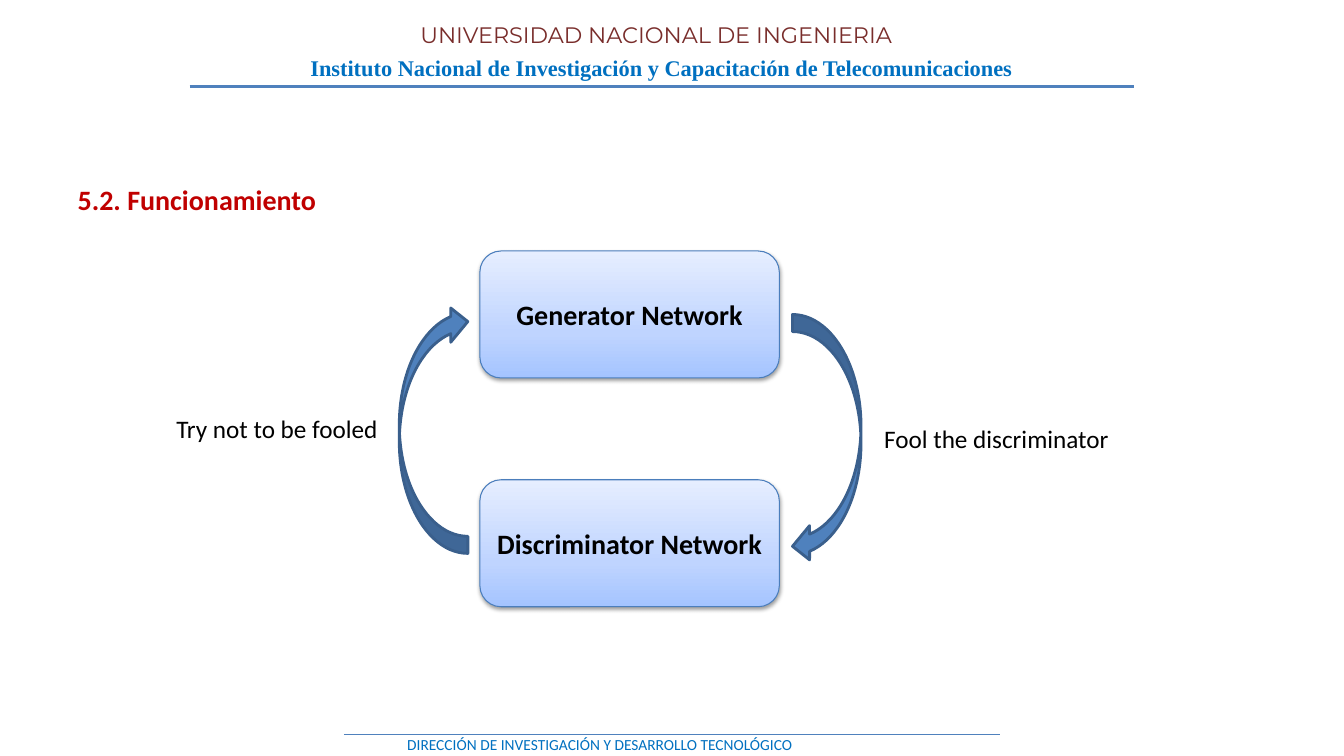
"""Builds the slide that explains how a generative adversarial network works."""
from lxml import etree
from pptx import Presentation
from pptx.dml.color import RGBColor
from pptx.enum.shapes import MSO_CONNECTOR, MSO_SHAPE
from pptx.enum.text import MSO_ANCHOR, MSO_AUTO_SIZE, PP_ALIGN
from pptx.oxml.ns import qn
from pptx.util import Inches, Pt

STRAIGHT = MSO_CONNECTOR.STRAIGHT
ROUNDED = MSO_SHAPE.ROUNDED_RECTANGLE
CURVED_ARROW = MSO_SHAPE.CURVED_LEFT_ARROW
TOP, MIDDLE = MSO_ANCHOR.TOP, MSO_ANCHOR.MIDDLE
LEFT, CENTER = PP_ALIGN.LEFT, PP_ALIGN.CENTER
FIT_SHAPE = MSO_AUTO_SIZE.SHAPE_TO_FIT_TEXT

COLORS = {
    "institute": "0070C0",
    "university": "792D2B",
    "heading": "C00000",
    "text": "000000",
    "accent": "4F81BD",
    "arrow_line": "3A5F8C",
    "network_line": "4B7EBC",
    "shadow": "000000",
}
NETWORK_GRADIENT = [(0, "A4C4FF"), (35, "BFD4FF"), (100, "E6EEFF")]
NETWORK_LEFT, NETWORK_WIDTH, NETWORK_HEIGHT = 4.76, 2.97, 1.26
ARROW_WIDTH, ARROW_HEIGHT = 0.68, 2.47


def color(name):
    """Return the named colour."""
    return RGBColor.from_string(COLORS[name])


def write(frame, text, size, color_name, font="Calibri", bold=False, align=LEFT):
    """Write one formatted run into the first paragraph of a text frame."""
    para = frame.paragraphs[0]
    para.alignment = align
    span = para.add_run()
    span.text = text
    span.font.name = font
    span.font.size = Pt(size)
    span.font.bold = bold
    span.font.color.rgb = color(color_name)


def place(shape, left, top, width, height):
    """Move and size a shape, in inches."""
    shape.left, shape.top = Inches(left), Inches(top)
    shape.width, shape.height = Inches(width), Inches(height)


def add_heading(page, text, left, top, width, height):
    """Put the section heading in the title placeholder."""
    title = page.shapes.title
    place(title, left, top, width, height)
    frame = title.text_frame
    frame.word_wrap = False
    frame.auto_size = FIT_SHAPE
    frame.vertical_anchor = TOP
    write(frame, text, 20, "heading", bold=True)


def add_label(page, area, text, size, color_name, wrap=False, **style):
    """Add a text box."""
    box = page.shapes.add_textbox(*(Inches(value) for value in area))
    box.text_frame.word_wrap = wrap
    box.text_frame.auto_size = FIT_SHAPE
    write(box.text_frame, text, size, color_name, **style)


def add_rule(page, left, right, top, weight):
    """Add a horizontal line without shadow."""
    rule = page.shapes.add_connector(
        STRAIGHT, Inches(left), Inches(top), Inches(right), Inches(top))
    rule.line.color.rgb = color("accent")
    rule.line.width = Pt(weight)
    etree.SubElement(rule._element.spPr, qn("a:effectLst"))


def add_color_xml(parent, hex_color):
    """Append an RGB colour element and return it."""
    return etree.SubElement(parent, qn("a:srgbClr"), val=hex_color)


def fill_gradient(shape):
    """Fill a shape with the vertical network gradient."""
    shape.fill.gradient()
    shape.fill.gradient_angle = 90
    stops = shape._element.spPr.find(qn("a:gradFill")).find(qn("a:gsLst"))
    for stop in list(stops):
        stops.remove(stop)
    for percent, hex_color in NETWORK_GRADIENT:
        stop = etree.SubElement(stops, qn("a:gs"), pos=str(percent * 1000))
        add_color_xml(stop, hex_color)


def add_soft_shadow(shape):
    """Give a shape a soft shadow that falls downwards."""
    shape.shadow.inherit = False
    effects = shape._element.spPr.find(qn("a:effectLst"))
    shadow = etree.SubElement(
        effects, qn("a:outerShdw"), blurRad=str(Pt(3.1)), dist=str(Pt(1.6)),
        dir="5400000", rotWithShape="0")
    shade = add_color_xml(shadow, COLORS["shadow"])
    etree.SubElement(shade, qn("a:alpha"), val="38000")


def add_network(page, text, top):
    """Add one network box."""
    network = page.shapes.add_shape(
        ROUNDED, Inches(NETWORK_LEFT), Inches(top),
        Inches(NETWORK_WIDTH), Inches(NETWORK_HEIGHT))
    fill_gradient(network)
    network.line.color.rgb = color("network_line")
    network.line.width = Pt(0.75)
    add_soft_shadow(network)
    network.text_frame.word_wrap = True
    network.text_frame.vertical_anchor = MIDDLE
    write(network.text_frame, text, 20, "text", bold=True, align=CENTER)


def add_curved_arrow(page, left, top, rotation=0):
    """Add a curved arrow between the two networks."""
    arrow = page.shapes.add_shape(
        CURVED_ARROW, Inches(left), Inches(top),
        Inches(ARROW_WIDTH), Inches(ARROW_HEIGHT))
    arrow.rotation = rotation
    arrow.fill.solid()
    arrow.fill.fore_color.rgb = color("accent")
    arrow.line.color.rgb = color("arrow_line")
    arrow.line.width = Pt(2)
    arrow.shadow.inherit = False


def add_header_and_footer(page):
    """Add the institution names and their rules."""
    add_label(page, (0.1, 0.49, 12.92, 0.37),
              "Instituto Nacional de Investigación y Capacitación de Telecomunicaciones",
              16, "institute", wrap=True, font="Times New Roman", bold=True, align=CENTER)
    add_label(page, (0, 0.16, 13.02, 0.37), "UNIVERSIDAD NACIONAL DE INGENIERIA",
              16, "university", wrap=True, font="Montserrat", align=CENTER)
    add_rule(page, 1.88, 11.25, 0.86, 2.25)
    add_rule(page, 3.41, 9.92, 7.29, 0.75)
    add_label(page, (3.94, 7.24, 4.07, 0.29),
              "DIRECCIÓN DE INVESTIGACIÓN Y DESARROLLO TECNOLÓGICO", 11, "institute")


def main():
    """Build and save the deck."""
    deck = Presentation()
    deck.slide_width, deck.slide_height = Inches(13.33), Inches(7.5)
    page = deck.slides.add_slide(deck.slide_layouts[5])
    add_header_and_footer(page)
    add_heading(page, "5.2. Funcionamiento", 0.67, 1.76, 2.59, 0.44)
    add_network(page, "Generator Network", 2.49)
    add_network(page, "Discriminator Network", 4.76)
    add_curved_arrow(page, 7.86, 3.12)
    add_label(page, (8.67, 4.15, 2.45, 0.4), "Fool the discriminator", 18, "text")
    add_curved_arrow(page, 3.96, 3.02, rotation=180)
    add_label(page, (1.65, 4.05, 2.31, 0.4), "Try not to be fooled", 18, "text")
    deck.save("out.pptx")


if __name__ == "__main__":
    main()
